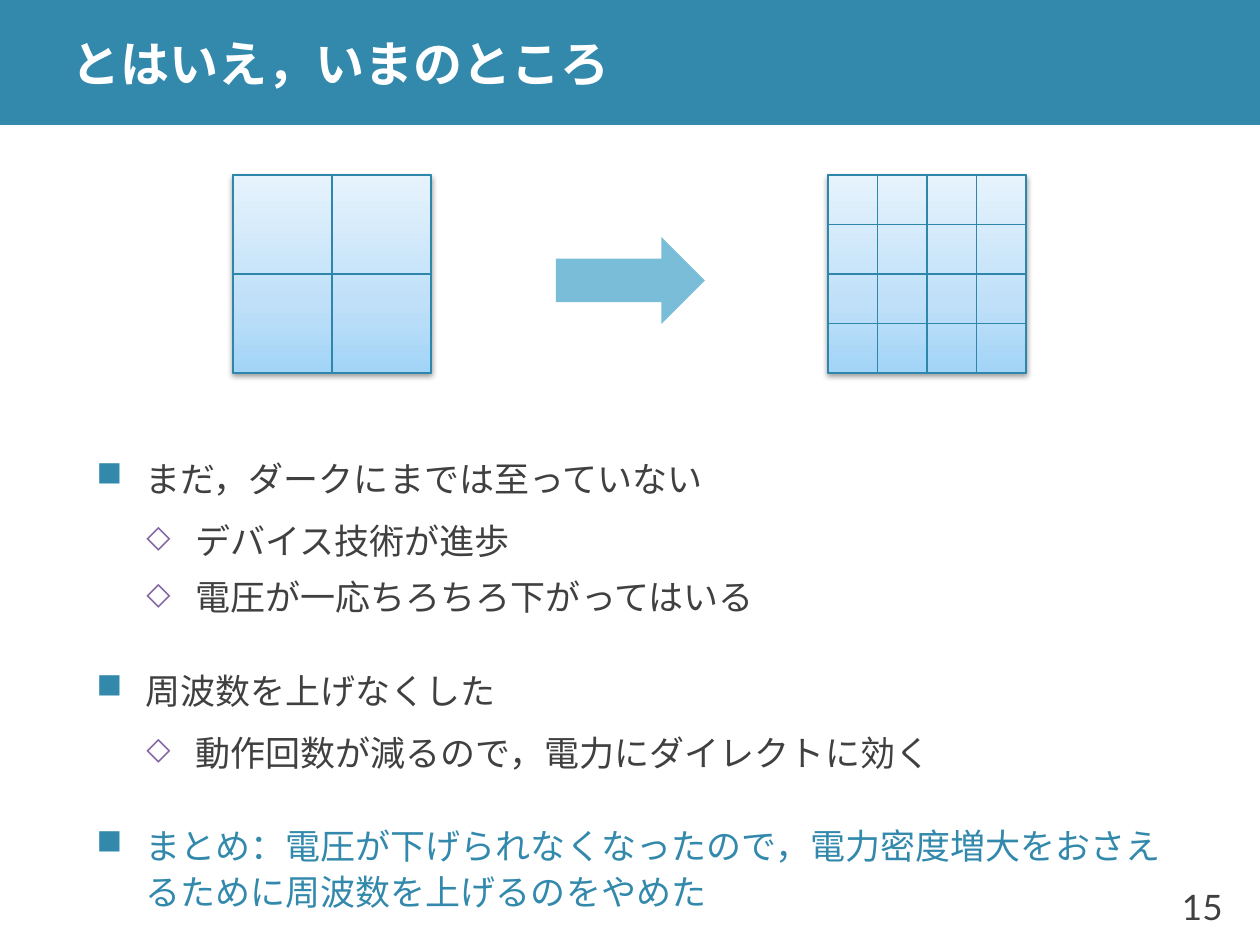
import pptx
import pptx.dml.color
import pptx.enum.shapes
import pptx.enum.text
import pptx.oxml
import pptx.oxml.ns
import pptx.util
from lxml import etree

# Content
TITLE = "とはいえ，いまのところ"
PAGE_NUMBER = "15"
POINTS = [  # (level, text, colour)
    (0, "まだ，ダークにまでは至っていない", "text"),
    (1, "デバイス技術が進歩", "text"),
    (1, "電圧が一応ちろちろ下がってはいる", "text"),
    (0, "周波数を上げなくした", "text"),
    (1, "動作回数が減るので，電力にダイレクトに効く", "text"),
    (0, "まとめ：電圧が下げられなくなったので，電力密度増大をおさえるために周波数を上げるのをやめた", "band"),
]
CHIPS = [(233, 2), (828, 4)]  # (left, cells per side)
CHIP_TOP, CHIP_SIZE = 175, 198

COLOURS = {
    "band": "3289AC", "title": "FFFFFF", "text": "404040", "cell": "2E87AB",
    "arrow": "79BDD8", "diamond": "8064A2", "shadow": "000000",
}
CHIP_GRADIENT = [(0, "A2D4F7"), (35, "BFE0F8"), (100, "E6F3FD")]
LEVELS = [
    {"indent": 49, "before": 24, "after": 6, "bullet": "■", "colour": "band", "size": 100},
    {"indent": 99, "before": 3, "after": 3, "bullet": "◇", "colour": "diamond", "size": 90},
]
HANGING = 49
FONT = "Lato"
EMU_PER_PX = 914400 / 126
SHAPE = pptx.enum.shapes.MSO_SHAPE


def px(length):
    return pptx.util.Emu(round(length * EMU_PER_PX))


def rgb(name):
    return pptx.dml.color.RGBColor.from_string(COLOURS[name])


def drawing_xml(body):
    return pptx.oxml.parse_xml(body.replace(">", f" {pptx.oxml.ns.nsdecls('a')}>", 1))


def add_block(kind, box, fill=None, line=None):
    block = slide.shapes.add_shape(kind, *map(px, box))
    block.shadow.inherit = False
    if fill:
        block.fill.solid()
        block.fill.fore_color.rgb = rgb(fill)
    else:
        block.fill.background()
    if line:
        block.line.color.rgb = rgb(line)
        block.line.width = pptx.util.Pt(0.75)
    else:
        block.line.fill.background()
    return block


def add_text_frame(box):
    frame = slide.shapes.add_textbox(*map(px, box)).text_frame
    frame.word_wrap = True
    frame.vertical_anchor = pptx.enum.text.MSO_ANCHOR.MIDDLE
    return frame


def write(paragraph, text, size, colour, bold=False):
    paragraph.text = text
    paragraph.font.name = FONT
    paragraph.font.size = pptx.util.Pt(size)
    paragraph.font.bold = bold
    paragraph.font.color.rgb = rgb(colour)


def add_bullet(paragraph, level):
    props = paragraph._p.get_or_add_pPr()
    props.set("marL", str(px(level["indent"])))
    props.set("indent", str(-px(HANGING)))
    for body in (
        f'<a:buClr><a:srgbClr val="{COLOURS[level["colour"]]}"/></a:buClr>',
        f'<a:buSzPct val="{level["size"] * 1000}"></a:buSzPct>',
        f'<a:buChar char="{level["bullet"]}"></a:buChar>',
    ):
        props.append(drawing_xml(body))


def add_chip(left, count):
    base = add_block(SHAPE.RECTANGLE, (left, CHIP_TOP, CHIP_SIZE, CHIP_SIZE), line="cell")
    props = base._element.spPr
    stops = "".join(
        f'<a:gs pos="{pos * 1000}"><a:srgbClr val="{colour}"/></a:gs>'
        for pos, colour in CHIP_GRADIENT
    )
    gradient = drawing_xml(
        f'<a:gradFill><a:gsLst>{stops}</a:gsLst><a:lin ang="16200000" scaled="0"/></a:gradFill>'
    )
    props.replace(props.find(pptx.oxml.ns.qn("a:noFill")), gradient)
    shadow = etree.SubElement(
        props.find(pptx.oxml.ns.qn("a:effectLst")), pptx.oxml.ns.qn("a:outerShdw"),
        blurRad="40000", dist="20000", dir="5400000", rotWithShape="0",
    )
    shadow.append(drawing_xml(
        f'<a:srgbClr val="{COLOURS["shadow"]}"><a:alpha val="38000"/></a:srgbClr>'
    ))
    cell = CHIP_SIZE / count
    for row in range(count):
        for column in range(count):
            box = (left + column * cell, CHIP_TOP + row * cell, cell, cell)
            add_block(SHAPE.RECTANGLE, box, line="cell")


presentation = pptx.Presentation()
presentation.slide_width, presentation.slide_height = px(1260), px(945)
slide = presentation.slides.add_slide(presentation.slide_layouts[6])

# Title band and page number
add_block(SHAPE.RECTANGLE, (0, 0, 1260, 125), fill="band")
title = add_text_frame((59, 0, 1201, 125))
title.margin_top = title.margin_bottom = 0
write(title.paragraphs[0], TITLE, 28, "title", bold=True)
page = add_text_frame((1150, 869, 85, 76)).paragraphs[0]
page.alignment = pptx.enum.text.PP_ALIGN.RIGHT
write(page, PAGE_NUMBER, 20, "text")

# Bulleted points
points = add_text_frame((84, 596, 1104, 174))
for index, (depth, text, colour) in enumerate(POINTS):
    point = points.add_paragraph() if index else points.paragraphs[0]
    level = LEVELS[depth]
    point.level = depth
    add_bullet(point, level)
    point.line_spacing = 1.1
    point.space_before = pptx.util.Pt(level["before"] if index else 0)
    point.space_after = pptx.util.Pt(level["after"])
    write(point, text, 20, colour)

# Chips before and after scaling
for left, count in CHIPS:
    add_chip(left, count)
add_block(SHAPE.RIGHT_ARROW, (556, 237, 149, 87), fill="arrow")

presentation.save("out.pptx")
